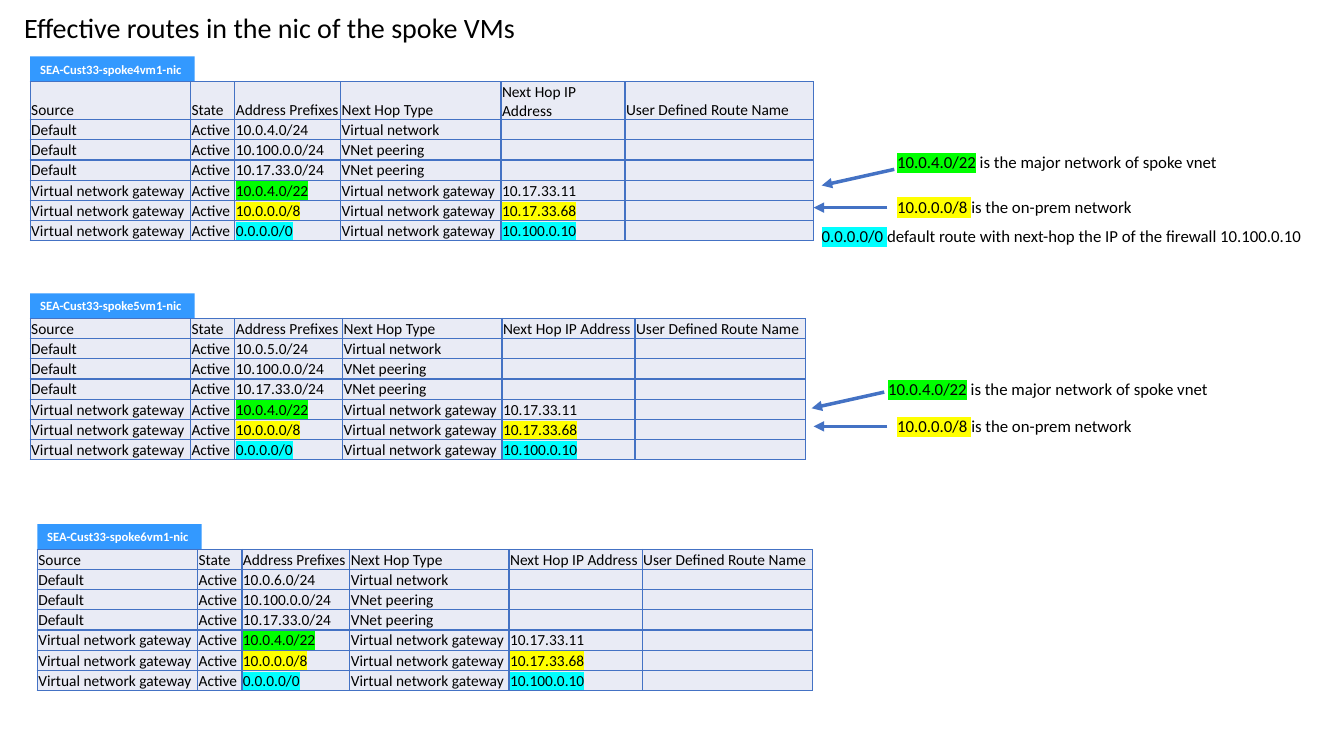
from lxml.etree import SubElement
from pptx import Presentation
from pptx.dml.color import RGBColor
from pptx.enum.shapes import MSO_CONNECTOR, MSO_SHAPE
from pptx.enum.text import MSO_ANCHOR, MSO_AUTO_SIZE, PP_ALIGN
from pptx.oxml import parse_xml
from pptx.oxml.ns import nsdecls, qn
from pptx.util import Inches, Pt

FONT = "Calibri"
BLACK = RGBColor(0x00, 0x00, 0x00)
WHITE = RGBColor(0xFF, 0xFF, 0xFF)
AZURE = RGBColor(0x33, 0x99, 0xFF)
BLUE = RGBColor(0x44, 0x72, 0xC4)
PALE = RGBColor(0xE9, 0xEB, 0xF5)
GREEN = RGBColor(0x00, 0xFF, 0x00)
YELLOW = RGBColor(0xFF, 0xFF, 0x00)
CYAN = RGBColor(0x00, 0xFF, 0xFF)

MARKS = {
    "10.0.4.0/22": GREEN,
    "10.0.0.0/8": YELLOW, "10.17.33.68": YELLOW,
    "0.0.0.0/0": CYAN, "10.100.0.10": CYAN,
}
HEADS = ["Source", "State", "Address Prefixes", "Next Hop Type",
         "Next Hop IP Address", "User Defined Route Name"]
GATE = "Virtual network gateway"
ROUTES = [
    ("Default", "10.100.0.0/24", "VNet peering", ""),
    ("Default", "10.17.33.0/24", "VNet peering", ""),
    (GATE, "10.0.4.0/22", GATE, "10.17.33.11"),
    (GATE, "10.0.0.0/8", GATE, "10.17.33.68"),
    (GATE, "0.0.0.0/0", GATE, "10.100.0.10"),
]
TIGHT = [1.59, 0.44, 1.05, 1.59, 1.23, 1.87]
WIDE = [1.59, 0.44, 1.07, 1.58, 1.32, 1.69]
# spoke number, left, top, column widths
NICS = [(4, 0.3, 0.56, TIGHT), (5, 0.3, 2.91, WIDE), (6, 0.37, 5.2, WIDE)]

MAJOR = ("10.0.4.0/22", " is the major network of spoke vnet")
PREM = ("10.0.0.0/8 ", "is the on-prem network")
ROUTE = ("0.0.0.0/0 ",
         "default route with next-hop the IP of the firewall 10.100.0.10")
# left, top, width, text parts
NOTES = [(8.8, 1.46, 3.43, MAJOR), (8.8, 1.9, 2.9, PREM),
         (8.05, 2.19, 5.14, ROUTE),
         (8.71, 3.71, 3.43, MAJOR), (8.8, 4.08, 2.9, PREM)]
# start x, start y, end x, end y
ARROWS = [(8.87, 1.68, 8.15, 1.84), (8.8, 2.06, 8.07, 2.06),
          (8.77, 3.89, 8.05, 4.05), (8.8, 4.23, 8.07, 4.23)]


def style(run, size, color=BLACK, bold=False):
    """Set a run's font and mark it when its text is a marked address."""
    font = run.font
    font.name, font.size, font.bold = FONT, Pt(size), bold
    font.color.rgb = color
    mark = MARKS.get(run.text.strip())
    if mark:
        light = parse_xml(f'<a:highlight {nsdecls("a")}>'
                          f'<a:srgbClr val="{mark}"/></a:highlight>')
        run._r.get_or_add_rPr().find(qn("a:solidFill")).addnext(light)


def add_title(slide, left, top, width, height):
    """Place the slide title."""
    title = slide.shapes.title
    title.left, title.top = Inches(left), Inches(top)
    title.width, title.height = Inches(width), Inches(height)
    frame = title.text_frame
    frame.text = "Effective routes in the nic of the spoke VMs"
    frame.auto_size = MSO_AUTO_SIZE.NONE
    frame.vertical_anchor = MSO_ANCHOR.MIDDLE
    line = frame.paragraphs[0]
    line.alignment, line.line_spacing = PP_ALIGN.LEFT, 0.9
    style(line.runs[0], 20)


def add_label(slide, left, top, text):
    """Add the blue name tag of a nic."""
    tag = slide.shapes.add_shape(MSO_SHAPE.RECTANGLE, Inches(left),
                                 Inches(top), Inches(1.63), Inches(0.25))
    tag.shadow.inherit = False
    tag.fill.solid()
    tag.fill.fore_color.rgb = AZURE
    tag.line.fill.background()
    frame = tag.text_frame
    frame.text = text
    frame.word_wrap = False
    frame.auto_size = MSO_AUTO_SIZE.SHAPE_TO_FIT_TEXT
    frame.vertical_anchor = MSO_ANCHOR.TOP
    frame.paragraphs[0].alignment = PP_ALIGN.LEFT
    style(frame.paragraphs[0].runs[0], 9, WHITE, True)


def fill_cell(cell, text):
    """Write one table cell with its fill, margins and borders."""
    cell.text_frame.text = text
    cell.vertical_anchor = MSO_ANCHOR.BOTTOM
    cell.margin_left = cell.margin_right = cell.margin_top = Inches(0.01)
    cell.margin_bottom = 0
    line = cell.text_frame.paragraphs[0]
    for run in line.runs:
        style(run, 11)
    if not text:
        line._p.get_or_add_endParaRPr().set("sz", "1100")
    props = cell._tc.get_or_add_tcPr()
    for side in ("lnL", "lnR", "lnT", "lnB"):
        edge = SubElement(props, qn(f"a:{side}"), w=str(Pt(1)))
        paint = SubElement(edge, qn("a:solidFill"))
        SubElement(paint, qn("a:srgbClr"), val=str(BLUE))
    cell.fill.solid()
    cell.fill.fore_color.rgb = PALE


def add_nic(slide, spoke, left, top, widths):
    """Add a nic's tag and, below it, its table of routes."""
    add_label(slide, left, top, f"SEA-Cust33-spoke{spoke}vm1-nic")
    local = ("Default", f"10.0.{spoke}.0/24", "Virtual network", "")
    rows = [HEADS] + [[source, "Active", prefix, kind, hop, ""]
                      for source, prefix, kind, hop in [local] + ROUTES]
    table = slide.shapes.add_table(
        len(rows), len(HEADS), Inches(left), Inches(top + 0.25),
        Inches(sum(widths)), Inches(0.2 * len(rows))).table
    table.first_row = table.horz_banding = False
    for col, width in zip(table.columns, widths):
        col.width = Inches(width)
    for row, texts in zip(table.rows, rows):
        row.height = Inches(0.2)
        for cell, text in zip(row.cells, texts):
            fill_cell(cell, text)


def add_note(slide, left, top, width, parts):
    """Add a note that opens with a marked address."""
    box = slide.shapes.add_textbox(Inches(left), Inches(top),
                                   Inches(width), Inches(0.3))
    frame = box.text_frame
    frame.word_wrap = True
    frame.auto_size = MSO_AUTO_SIZE.SHAPE_TO_FIT_TEXT
    for part in parts:
        run = frame.paragraphs[0].add_run()
        run.text = part
        style(run, 12)


def add_arrow(slide, *ends):
    """Add an arrow from a note to its table row."""
    arrow = slide.shapes.add_connector(MSO_CONNECTOR.STRAIGHT,
                                       *[Inches(end) for end in ends])
    arrow.line.color.rgb = BLUE
    arrow.line.width = Pt(2.5)
    SubElement(arrow.line._get_or_add_ln(), qn("a:tailEnd"), type="triangle")
    SubElement(arrow._element.spPr, qn("a:effectLst"))


def build():
    """Build the slide and save it."""
    deck = Presentation()
    deck.slide_width, deck.slide_height = Inches(13.33), Inches(7.5)
    slide = deck.slides.add_slide(deck.slide_layouts[5])
    add_title(slide, 0.14, 0.1, 11.5, 0.38)
    for nic in NICS:
        add_nic(slide, *nic)
    for arrow in ARROWS:
        add_arrow(slide, *arrow)
    for note in NOTES:
        add_note(slide, *note)
    deck.save("out.pptx")


build()
